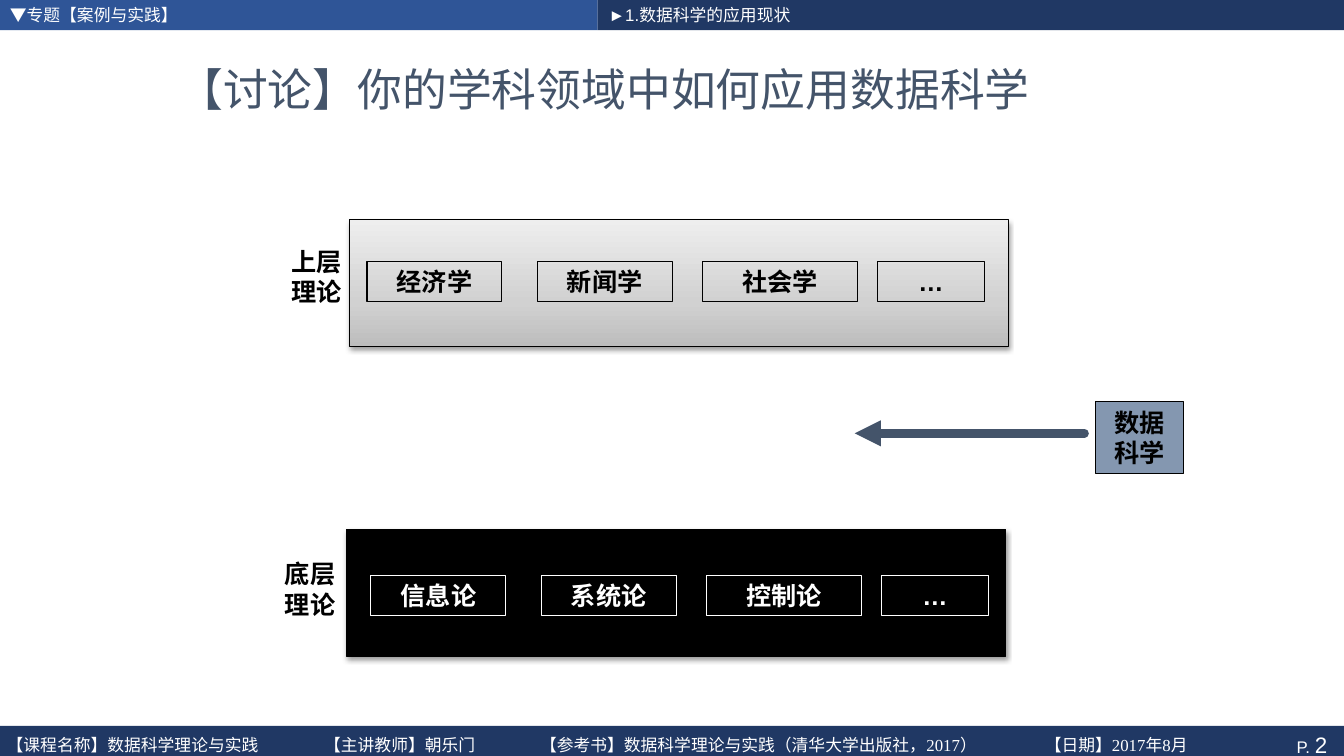
import copy

import pptx
import pptx.dml.color
import pptx.enum.shapes
import pptx.enum.text
import pptx.oxml
import pptx.oxml.ns
import pptx.util
from pptx.util import Cm

Align = pptx.enum.text.PP_ALIGN
Anchor = pptx.enum.text.MSO_ANCHOR
qn = pptx.oxml.ns.qn
NAMESPACE = 'xmlns:a="http://schemas.openxmlformats.org/drawingml/2006/main"'

NAVY, BLUE, SLATE, STEEL = "203864", "2F5597", "44546A", "8497B0"
BLACK, WHITE = "000000", "FFFFFF"
CJK_FONT = "Noto Sans CJK SC"
PAGE_WIDTH = 33.87
BAR_HEIGHT = 0.76
HEADER_SPLIT = 15.06
FOOTER_TOP = 18.29
BAND_SIZE = (16.61, 3.2)
FIELD_COLUMNS = [(9.25, 3.4), (13.54, 3.4), (17.7, 3.91), (22.12, 2.69)]


def rgb(value):
    return pptx.dml.color.RGBColor.from_string(value)


def add_xml(parent, markup):
    element = pptx.oxml.parse_xml(markup)
    parent.append(element)
    return element


def format_span(span, size, color, font="Arial", bold=False):
    span.font.size = pptx.util.Pt(size)
    span.font.color.rgb = rgb(color)
    span.font.name = font
    span.font.bold = bold
    east_asian = add_xml(span.font._element, f'<a:ea {NAMESPACE} typeface="{CJK_FONT}"/>')
    span.font._element.find(qn("a:latin")).addnext(east_asian)


def write(shape, text, size, color, font="Arial", bold=False, align=Align.LEFT):
    frame = shape.text_frame
    frame.text = text
    frame.word_wrap = True
    frame.vertical_anchor = Anchor.MIDDLE
    para = frame.paragraphs[0]
    para.alignment = align
    for span in para.runs:
        format_span(span, size, color, font, bold)
    return para


def add_box(page, left, top, width, height, fill=None, line=None, weight=0.75):
    box = page.shapes.add_shape(pptx.enum.shapes.MSO_SHAPE.RECTANGLE,
                                Cm(left), Cm(top), Cm(width), Cm(height))
    box.shadow.inherit = False
    if fill:
        box.fill.solid()
        box.fill.fore_color.rgb = rgb(fill)
    else:
        box.fill.background()
    if line:
        box.line.color.rgb = rgb(line)
        box.line.width = pptx.util.Pt(weight)
    else:
        box.line.fill.background()
    return box


def add_text(page, left, top, width, height, text, size, color, **style):
    box = page.shapes.add_textbox(Cm(left), Cm(top), Cm(width), Cm(height))
    return write(box, text, size, color, **style)


def add_shadow(shape):
    effects = shape._element.spPr.find(qn("a:effectLst"))
    add_xml(effects, f'<a:outerShdw {NAMESPACE} blurRad="44450" dist="25400" dir="5400000" '
                     'rotWithShape="0"><a:srgbClr val="000000"><a:alpha val="38000"/>'
                     '</a:srgbClr></a:outerShdw>')


def fill_gradient(shape, stops, angle):
    shape.fill.gradient()
    shape.fill.gradient_angle = angle
    stop_list = shape._element.spPr.find(".//" + qn("a:gsLst"))
    while len(stop_list) < len(stops):
        stop_list.append(copy.deepcopy(stop_list[0]))
    for stop, (position, color) in zip(shape.fill.gradient_stops, stops):
        stop.position = position
        stop.color.rgb = rgb(color)


def add_theory_layer(page, band_left, band_top, label_left, label_top, label,
                     fields, fields_shift, fields_top, fill, ink):
    """Draw a shaded band with its side label and a row of field boxes."""
    band = add_box(page, band_left, band_top, *BAND_SIZE, fill, BLACK, 0.5)
    add_shadow(band)
    add_text(page, label_left, label_top, 2.01, 1.8, label, 18, BLACK, bold=True)
    for field, (left, width) in zip(fields, FIELD_COLUMNS):
        box = add_box(page, left + fields_shift, fields_top, width, 1.02, line=ink)
        write(box, field, 18, ink, bold=True, align=Align.CENTER)
    return band


def add_arrow(page, start, end, color, weight):
    arrow = page.shapes.add_connector(pptx.enum.shapes.MSO_CONNECTOR.STRAIGHT,
                                      *map(Cm, start), *map(Cm, end))
    arrow.line.color.rgb = rgb(color)
    arrow.line.width = pptx.util.Pt(weight)
    line = arrow.line._get_or_add_ln()
    line.set("cap", "rnd")
    add_xml(line, f'<a:tailEnd {NAMESPACE} type="triangle"/>')
    add_xml(arrow._element.spPr, f"<a:effectLst {NAMESPACE}/>")


def add_header(page):
    add_box(page, 0, 0, HEADER_SPLIT, BAR_HEIGHT, BLUE)
    add_box(page, HEADER_SPLIT, 0, PAGE_WIDTH - HEADER_SPLIT, BAR_HEIGHT, NAVY)
    add_text(page, 0, 0, 12.27, 0.74, "▼专题【案例与实践】", 12, WHITE)
    add_text(page, HEADER_SPLIT + 0.03, 0, 6.05, 0.74, "►1.数据科学的应用现状", 12, WHITE)


def add_footer(page):
    bar = add_box(page, 0, FOOTER_TOP, PAGE_WIDTH, 0.94, NAVY)
    bar.text_frame.margin_right = Cm(0.42)
    number = write(bar, "P. ", 12, WHITE, align=Align.RIGHT).add_run()
    number.text = "2"
    format_span(number, 16, WHITE)

    details = ["【课程名称】数据科学理论与实践", "【主讲教师】朝乐门",
               "【参考书】数据科学理论与实践（清华大学出版社，2017）", "【日期】2017年8月"]
    para = add_text(page, -0.08, 18.42, 32.41, 0.71, "\t".join(details), 12, WHITE,
                    font="Times New Roman")
    tabs = add_xml(para._p.get_or_add_pPr(), f"<a:tabLst {NAMESPACE}/>")
    for position in (8, 13.44, 26.16):
        add_xml(tabs, f'<a:tab {NAMESPACE} pos="{Cm(position)}" algn="l"/>')


def add_title(page, text):
    title = page.shapes.title
    title.left, title.top, title.width, title.height = Cm(1.12), Cm(1.09), Cm(28.22), Cm(2.29)
    write(title, text, 32, SLATE, font=CJK_FONT, align=Align.CENTER)


def main():
    deck = pptx.Presentation()
    deck.slide_width, deck.slide_height = Cm(PAGE_WIDTH), Cm(19.05)
    page = deck.slides.add_slide(deck.slide_layouts.get_by_name("Title Only"))

    add_header(page)
    add_footer(page)
    add_title(page, "【讨论】你的学科领域中如何应用数据科学")

    upper = add_theory_layer(page, 8.81, 5.54, 7.09, 6.07, "上层理论",
                             ["经济学", "新闻学", "社会学", "…"], 0, 6.58, None, BLACK)
    fill_gradient(upper, [(0, "BDBDBD"), (0.35, "D1D1D1"), (1, "EEEEEE")], 90)
    add_theory_layer(page, 8.74, 13.34, 6.93, 13.94, "底层理论",
                     ["信息论", "系统论", "控制论", "…"], 0.1, 14.5, BLACK, WHITE)

    science = add_box(page, 27.61, 10.13, 2.21, 1.8, STEEL, BLACK)
    write(science, "数据科学", 18, BLACK, bold=True, align=Align.CENTER)
    add_arrow(page, (27.33, 10.92), (21.54, 10.92), SLATE, 6.25)

    deck.save("out.pptx")


if __name__ == "__main__":
    main()
